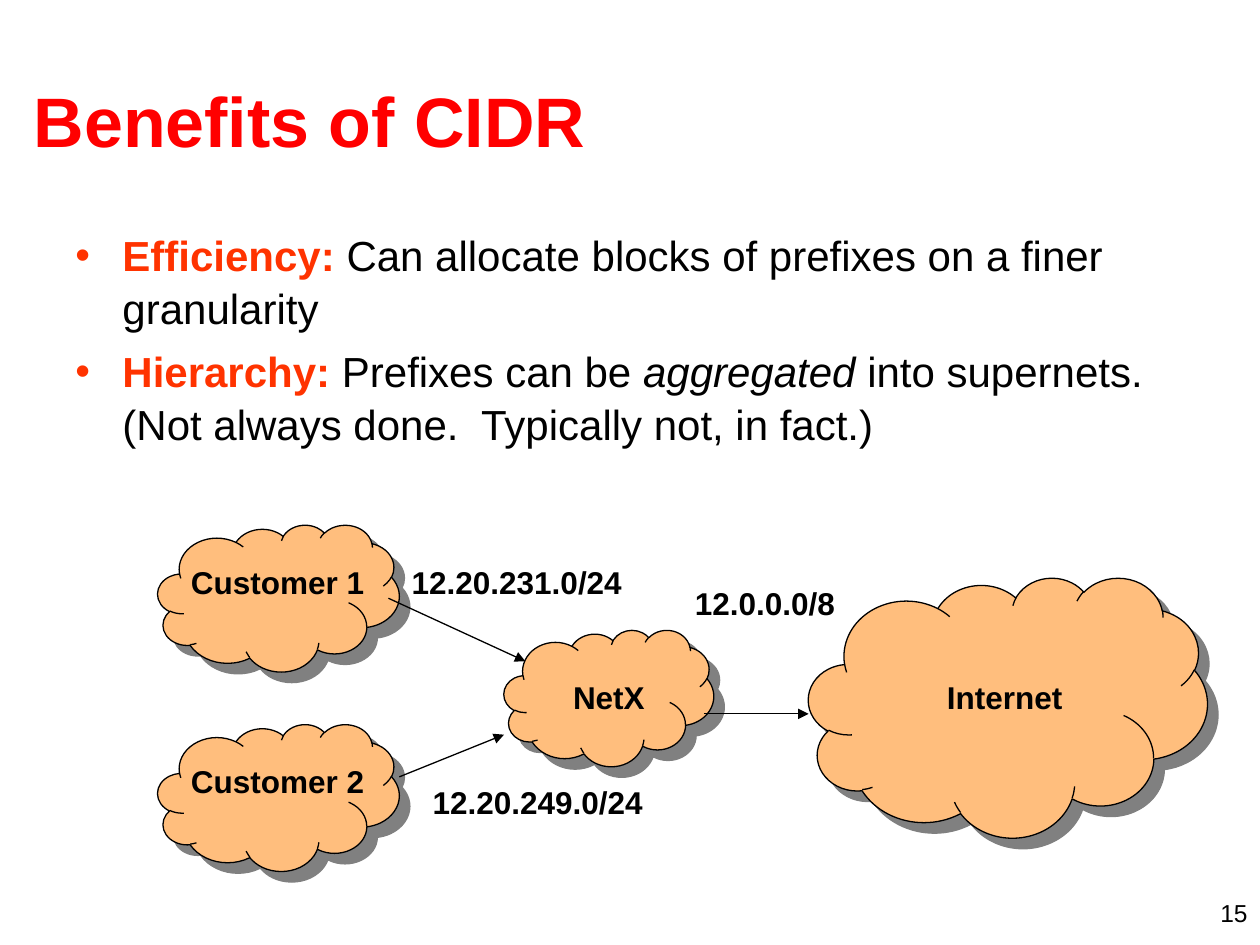
from lxml.etree import SubElement
from pptx import Presentation
from pptx.dml.color import RGBColor
from pptx.enum.shapes import MSO_CONNECTOR, MSO_SHAPE
from pptx.enum.text import MSO_ANCHOR, PP_ALIGN
from pptx.oxml.ns import qn
from pptx.util import Cm, Pt

COLOURS = {
    "title": "FF0000",
    "accent": "FF3300",
    "text": "000000",
    "cloud": "FFBE7D",
    "shadow": "808080",
}
LABEL_HEIGHT = 1.02


def colour(name):
    return RGBColor.from_string(COLOURS[name])


def style(run, size, ink="text", bold=False, italic=False):
    run.font.name = "Arial"
    run.font.size = Pt(size)
    run.font.bold = bold
    run.font.italic = italic
    run.font.color.rgb = colour(ink)


def add_frame(slide, box):
    frame = slide.shapes.add_textbox(*map(Cm, box)).text_frame
    frame.word_wrap = True
    return frame


def add_line_of_text(slide, box, wording, size, ink="text", bold=True,
                     align=PP_ALIGN.LEFT, anchor=MSO_ANCHOR.TOP):
    frame = add_frame(slide, box)
    frame.text = wording
    frame.vertical_anchor = anchor
    paragraph = frame.paragraphs[0]
    paragraph.alignment = align
    style(paragraph.runs[0], size, ink, bold)


def add_bullet(paragraph):
    properties = paragraph._p.get_or_add_pPr()
    properties.set("marL", str(Cm(0.95)))
    properties.set("indent", str(-Cm(0.95)))
    bullet_colour = SubElement(properties, qn("a:buClr"))
    SubElement(bullet_colour, qn("a:srgbClr"), val=COLOURS["accent"])
    SubElement(properties, qn("a:buFont"), typeface="Arial")
    SubElement(properties, qn("a:buChar"), char="•")


def add_benefits(slide, box, benefits):
    frame = add_frame(slide, box)
    for index, (heading, parts) in enumerate(benefits):
        paragraph = frame.add_paragraph() if index else frame.paragraphs[0]
        add_bullet(paragraph)
        paragraph.line_spacing = 1.05
        if index:
            paragraph.space_before = Pt(6)
        lead = paragraph.add_run()
        lead.text = heading
        style(lead, 24, "accent", bold=True)
        for wording, italic in parts:
            run = paragraph.add_run()
            run.text = wording
            style(run, 24, italic=italic)


def add_cloud(slide, box):
    cloud = slide.shapes.add_shape(MSO_SHAPE.CLOUD, *map(Cm, box))
    cloud.fill.solid()
    cloud.fill.fore_color.rgb = colour("cloud")
    cloud.line.color.rgb = colour("text")
    cloud.line.width = Pt(0.75)
    cloud.shadow.inherit = False
    effects = cloud._element.spPr.find(qn("a:effectLst"))
    shadow = SubElement(effects, qn("a:outerShdw"), dist=str(Pt(8.5)),
                        dir="2700000", algn="ctr", rotWithShape="0")
    SubElement(shadow, qn("a:srgbClr"), val=COLOURS["shadow"])


def add_arrow(slide, start, end):
    arrow = slide.shapes.add_connector(
        MSO_CONNECTOR.STRAIGHT, *map(Cm, start + end))
    arrow.line.color.rgb = colour("text")
    arrow.line.width = Pt(0.75)
    SubElement(arrow.line._get_or_add_ln(), qn("a:tailEnd"), type="triangle")
    SubElement(arrow._element.spPr, qn("a:effectLst"))


def add_network(slide, box):
    left, top, width, height = box

    def at(x, y):
        return left + x, top + y

    nodes = [
        ("Customer 1", (0, 0), (4.87, 2.96), (0.42, 0.64, 4.45), PP_ALIGN.LEFT),
        ("Customer 2", (0, 4.02), (4.87, 2.96), (0.42, 0.64, 4.45), PP_ALIGN.LEFT),
        ("NetX", (6.98, 2.12), (4.23, 2.75), (0.42, 0.85, 3.39), PP_ALIGN.CENTER),
        ("Internet", (width - 8.04, 1.06), (8.04, 5.24), (2.54, 1.9, 3.39),
         PP_ALIGN.LEFT),
    ]
    for name, (x, y), size, (dx, dy, name_width), align in nodes:
        add_cloud(slide, at(x, y) + size)
        add_line_of_text(slide, at(x + dx, y + dy) + (name_width, LABEL_HEIGHT),
                         name, 18, align=align)

    routes = [
        ("12.20.231.0/24", (4.65, 1.48), (7.41, 2.75), (4.87, 0.64), 4.87),
        ("12.20.249.0/24", (4.87, 5.08), (6.98, 4.23), (5.29, 5.08), 4.87),
        ("12.0.0.0/8", (11.01, 3.81), (13.12, 3.81), (10.58, 1.06), 3.6),
    ]
    for prefix, start, end, corner, prefix_width in routes:
        add_arrow(slide, at(*start), at(*end))
        add_line_of_text(slide, at(*corner) + (prefix_width, LABEL_HEIGHT),
                         prefix, 18)


def main():
    deck = Presentation()
    deck.slide_width, deck.slide_height = Cm(25.4), Cm(19.05)
    slide = deck.slides.add_slide(deck.slide_layouts[6])
    add_line_of_text(slide, (0.43, 0.81, 24.33, 3.18), "Benefits of CIDR", 40,
                     "title", anchor=MSO_ANCHOR.MIDDLE)
    add_benefits(slide, (1.27, 4.45, 22.86, 5.72), [
        ("Efficiency:", [
            (" Can allocate blocks of prefixes on a finer granularity", False),
        ]),
        ("Hierarchy: ", [
            ("Prefixes can be ", False),
            ("aggregated ", True),
            ("into supernets. (Not always done.  Typically not, in fact.)", False),
        ]),
    ])
    add_network(slide, (3.18, 10.58, 21.16, 6.98))
    add_line_of_text(slide, (19.48, 17.98, 5.92, 0.64), "15", 14, bold=False,
                     align=PP_ALIGN.RIGHT)
    deck.save("out.pptx")


if __name__ == "__main__":
    main()
